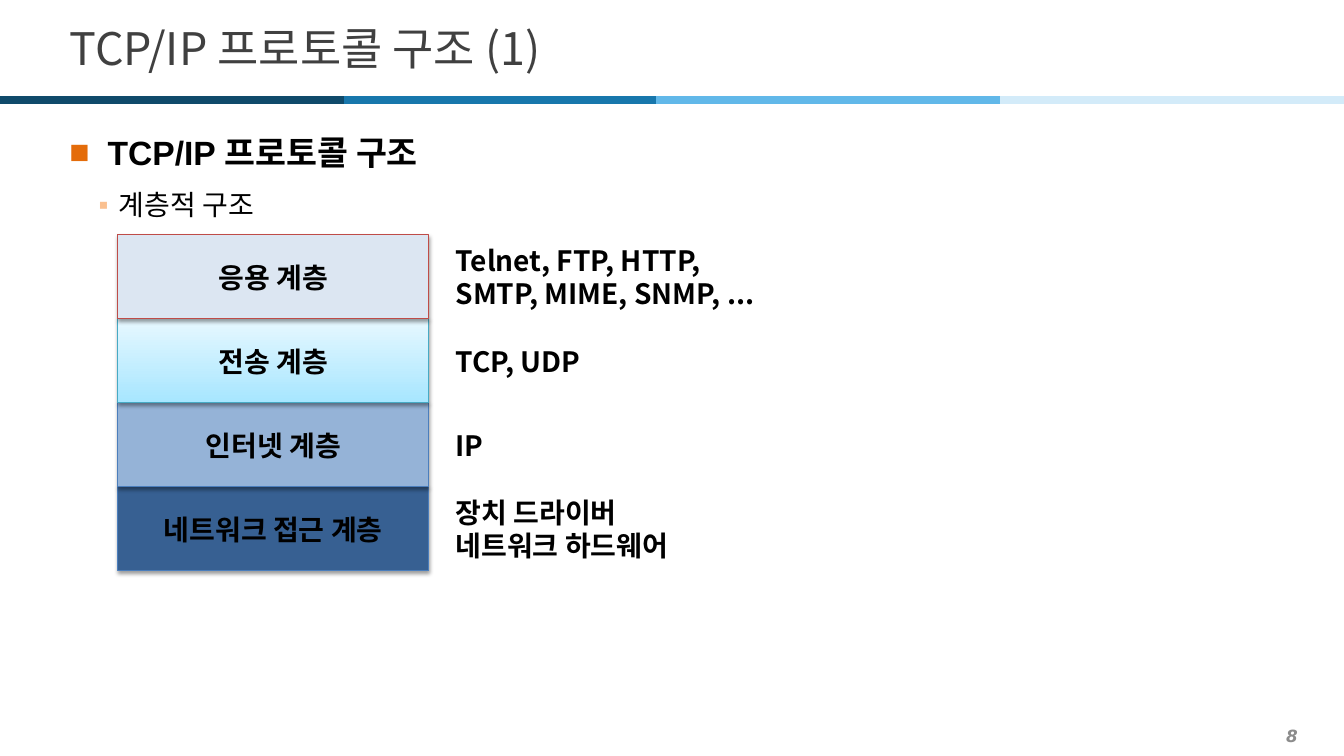
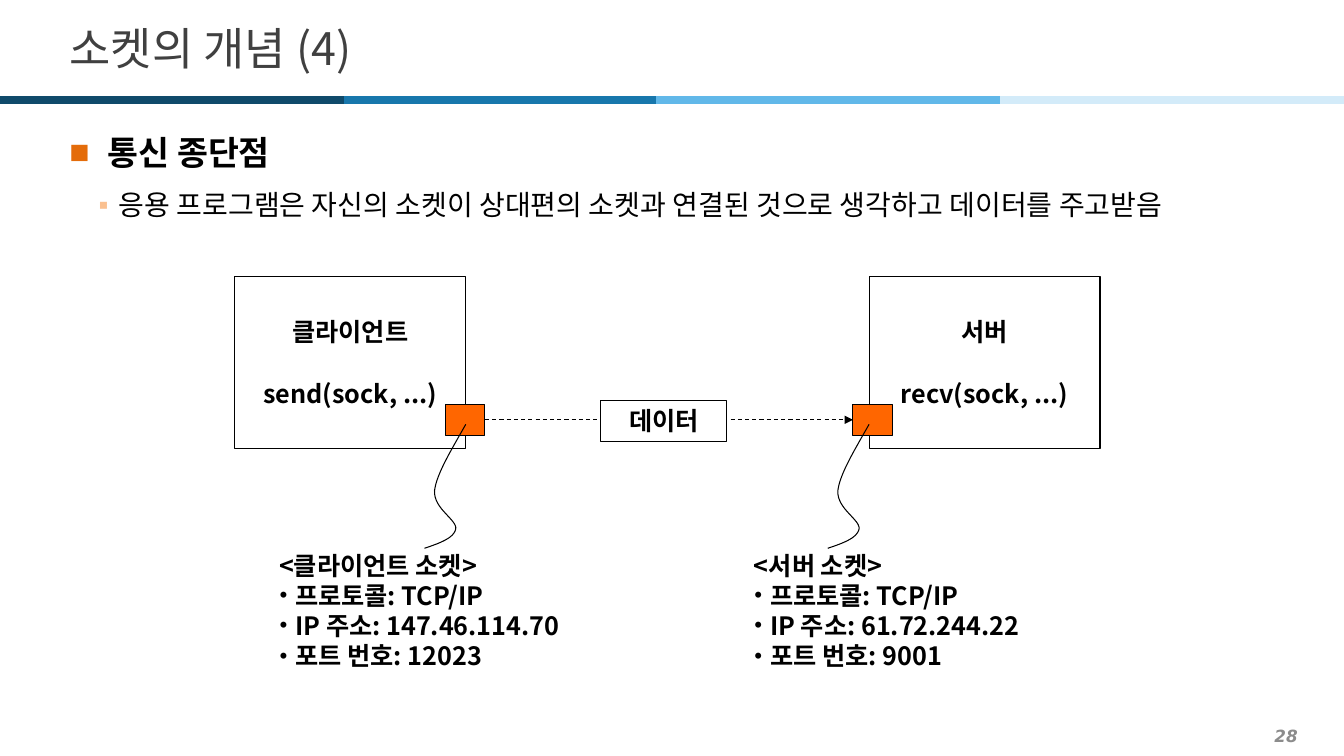
from lxml.etree import SubElement
from pptx import Presentation
from pptx.dml.color import RGBColor
from pptx.enum.dml import MSO_LINE
from pptx.enum.shapes import MSO_CONNECTOR, MSO_SHAPE
from pptx.enum.text import MSO_ANCHOR, MSO_AUTO_SIZE, PP_ALIGN
from pptx.oxml.ns import qn
from pptx.oxml.xmlchemy import OxmlElement
from pptx.util import Inches, Pt

KOREAN, LATIN, NUMBER, BULLET = "Noto Sans CJK KR", "Arial", "DejaVu Sans", "Times New Roman"
BLACK, WHITE = RGBColor(0, 0, 0), RGBColor(255, 255, 255)
TITLE_GRAY = RGBColor(0x40, 0x40, 0x40)
NUMBER_GRAY = RGBColor(0x8C, 0x8C, 0x8C)
ORANGE, PEACH = RGBColor(0xE4, 0x6C, 0x0A), RGBColor(0xFA, 0xC0, 0x90)
SOCKET_ORANGE = RGBColor(0xFF, 0x66, 0x00)
BLUE_EDGE = RGBColor(0x4B, 0x7E, 0xBC)
BAND_EDGES = [0, 3.41, 6.51, 9.92, 13.33]
BAND_COLORS = [RGBColor.from_string(c) for c in ("0F4A6B", "1877AC", "61B8E9", "D3EBF9")]

# Content: (name, examples, fill colours from top to bottom, edge)
LAYERS = [
    ("응용 계층", ["Telnet, FTP, HTTP,", "SMTP, MIME, SNMP, ..."],
     [RGBColor(0xDC, 0xE6, 0xF2)], RGBColor(0xBF, 0x4C, 0x48)),
    ("전송 계층", ["TCP, UDP"],
     [RGBColor(0xE7, 0xF8, 0xFF), RGBColor(0xA7, 0xE6, 0xFF)], RGBColor(0x46, 0xAA, 0xC5)),
    ("인터넷 계층", ["IP"], [RGBColor(0x95, 0xB3, 0xD7)], BLUE_EDGE),
    ("네트워크 접근 계층", ["장치 드라이버", "네트워크 하드웨어"],
     [RGBColor(0x37, 0x60, 0x92)], BLUE_EDGE),
]
# Left edges of the host box, its socket, the curve's origin and the details
ENDPOINTS = [
    {"host": ["클라이언트", "send(sock, ...)"], "lefts": (2.33, 4.42, 4.21, 2.67),
     "details": ["<클라이언트 소켓>", "프로토콜: TCP/IP", "IP 주소: 147.46.114.70", "포트 번호: 12023"]},
    {"host": ["서버", "recv(sock, ...)"], "lefts": (8.62, 8.46, 8.21, 7.38),
     "details": ["<서버 소켓>", "프로토콜: TCP/IP", "IP 주소: 61.72.244.22", "포트 번호: 9001"]},
]
# Curve from socket to details: cubic pieces, relative to its top left
CURVE_TOP = 4.21
CURVE = [
    [(0.41, 0), (0.27, 0.25), (0.12, 0.49), (0.1, 0.66)],
    [(0.1, 0.66), (0.09, 0.84), (0.33, 0.95), (0.31, 1.04)],
    [(0.31, 1.04), (0.29, 1.13), (0.15, 1.18), (0, 1.23)],
]


def box(left, top, width, height):
    return [Inches(v) for v in (left, top, width, height)]


def set_font(paragraph, size, color=BLACK, bold=True, italic=False, latin=KOREAN):
    font = paragraph.font
    font.size, font.bold, font.italic, font.name = Pt(size), bold, italic, latin
    font.color.rgb = color
    latin_font = paragraph._p.pPr.find(qn("a:defRPr")).find(qn("a:latin"))
    east_asian = OxmlElement("a:ea")
    east_asian.set("typeface", KOREAN)
    latin_font.addnext(east_asian)


def set_bullet(paragraph, char, color, margin, hang, typeface):
    """Add a bullet to a paragraph whose font is already set."""
    props = paragraph._p.pPr
    props.set("marL", str(Inches(margin)))
    props.set("indent", str(-Inches(hang)))
    bullet_color, bullet_font, bullet_char = [
        OxmlElement(tag) for tag in ("a:buClr", "a:buFont", "a:buChar")]
    SubElement(bullet_color, qn("a:srgbClr")).set("val", str(color))
    bullet_font.set("typeface", typeface)
    bullet_char.set("char", char)
    for part in (bullet_color, bullet_font, bullet_char):
        props.find(qn("a:defRPr")).addprevious(part)


def write(shape, lines, size, align=PP_ALIGN.LEFT, anchor=MSO_ANCHOR.MIDDLE, **font):
    frame = shape.text_frame
    frame.word_wrap = True
    frame.auto_size = MSO_AUTO_SIZE.NONE
    frame.vertical_anchor = anchor
    frame.text = "\n".join(lines)
    for paragraph in frame.paragraphs:
        paragraph.alignment = align
        set_font(paragraph, size, **font)
    return frame.paragraphs


def add_text(slide, area, lines, size, **style):
    return write(slide.shapes.add_textbox(*box(*area)), lines, size, **style)


def add_rect(slide, area, edge=BLACK, fill=None):
    rect = slide.shapes.add_shape(MSO_SHAPE.RECTANGLE, *box(*area))
    rect.shadow.inherit = False
    rect.line.color.rgb = edge
    rect.line.width = Pt(0.75)
    if fill is None:
        rect.fill.background()
    else:
        rect.fill.solid()
        rect.fill.fore_color.rgb = fill
    return rect


def add_line(slide, start, end, color, width):
    line = slide.shapes.add_connector(
        MSO_CONNECTOR.STRAIGHT, *[Inches(v) for v in (*start, *end)])
    line.line.color.rgb = color
    line.line.width = Pt(width)
    SubElement(line._element.spPr, qn("a:effectLst"))
    return line


def add_slide(prs, title, number, heading, point):
    """Title, coloured band, slide number and the two outline lines."""
    slide = prs.slides.add_slide(prs.slide_layouts[5])
    heading_box = slide.shapes.title
    heading_box.left, heading_box.top, heading_box.width, heading_box.height = box(0.59, 0.13, 12.21, 0.68)
    write(heading_box, [title], 32, color=TITLE_GRAY, bold=False)
    for left, right, color in zip(BAND_EDGES, BAND_EDGES[1:], BAND_COLORS):
        add_line(slide, (left, 0.99), (right, 0.99), color, 6)
    add_text(slide, (0.2, 7.14, 12.77, 0.31), [str(number)], 12, align=PP_ALIGN.RIGHT,
             color=NUMBER_GRAY, italic=True, latin=NUMBER)

    first, second = add_text(slide, (0.59, 1.18, 12.24, 6.03), [heading, point], 24,
                             anchor=MSO_ANCHOR.TOP, latin=LATIN)
    first.line_spacing, first.space_after = 1.2, Pt(2)
    set_bullet(first, "■", ORANGE, 0.38, 0.38, LATIN)
    second.level = 1
    second.line_spacing, second.space_before, second.space_after = 1.3, Pt(2), Pt(2)
    second.font.size, second.font.bold = Pt(20), False
    second.font.name = KOREAN
    set_bullet(second, "▪", PEACH, 0.49, 0.2, LATIN)
    return slide


def add_layer(slide, top, height, name, examples, fills, edge):
    layer = add_rect(slide, (1.17, top, 3.08, height), edge, fills[0])
    if len(fills) > 1:
        layer.fill.gradient()
        layer.fill.gradient_angle = 270
        for stop, color in zip(layer.fill.gradient_stops, fills):
            stop.color.rgb = color
    # Soft shadow below the layer
    shadow = SubElement(layer._element.spPr.find(qn("a:effectLst")), qn("a:outerShdw"),
                        blurRad=str(Pt(3.1)), dist=str(Pt(1.6)), dir="5400000", rotWithShape="0")
    shadow_color = SubElement(shadow, qn("a:srgbClr"), val=str(BLACK))
    SubElement(shadow_color, qn("a:alpha"), val="38000")
    write(layer, [name], 20, align=PP_ALIGN.CENTER)
    add_text(slide, (4.42, top, 3.33, height), examples, 20)


def add_curve(slide, left, steps=16):
    points = [CURVE[0][0]]
    for a, b, c, d in CURVE:
        for step in range(1, steps + 1):
            t = step / steps
            points.append(tuple(
                (1 - t) ** 3 * a[i] + 3 * (1 - t) ** 2 * t * b[i]
                + 3 * (1 - t) * t ** 2 * c[i] + t ** 3 * d[i] for i in (0, 1)))
    points = [(Inches(left + x), Inches(CURVE_TOP + y)) for x, y in points]
    builder = slide.shapes.build_freeform(*points[0])
    builder.add_line_segments(points[1:], close=False)
    curve = builder.convert_to_shape()
    curve.shadow.inherit = False
    curve.fill.background()
    curve.line.color.rgb = BLACK
    curve.line.width = Pt(0.75)


def add_endpoint(slide, host, lefts, details):
    host_left, socket_left, curve_left, details_left = lefts
    host_box = add_rect(slide, (host_left, 2.74, 2.29, 1.71))
    call = write(host_box, host, 18, align=PP_ALIGN.CENTER)[1]
    call.space_before = Pt(22)
    socket = add_rect(slide, (socket_left, 4.01, 0.39, 0.31), fill=SOCKET_ORANGE)
    add_curve(slide, curve_left)
    lines = add_text(slide, (details_left, 5.36, 3.54, 1.39), details, 18)
    for line in lines[1:]:
        set_bullet(line, "•", BLACK, 0.16, 0.16, BULLET)
    return socket


def build_layers(prs):
    slide = add_slide(prs, "TCP/IP 프로토콜 구조 (1)", 8, "TCP/IP 프로토콜 구조", "계층적 구조")
    height = 2.5 / 3
    # Bottom layer first, so each shadow falls on the layer below
    for index, layer in reversed(list(enumerate(LAYERS))):
        add_layer(slide, 2.33 + index * height, height, *layer)


def build_sockets(prs):
    slide = add_slide(prs, "소켓의 개념 (4)", 28, "통신 종단점",
                      "응용 프로그램은 자신의 소켓이 상대편의 소켓과 연결된 것으로 생각하고 데이터를 주고받음")
    client_socket, server_socket = [add_endpoint(slide, **end) for end in ENDPOINTS]
    # Data flow between the sockets
    flow = add_line(slide, (4.81, 4.16), (8.46, 4.16), BLACK, 0.75)
    flow.begin_connect(client_socket, 3)
    flow.end_connect(server_socket, 1)
    flow.line.dash_style = MSO_LINE.DASH
    SubElement(flow._element.spPr.find(qn("a:ln")), qn("a:tailEnd"), type="triangle")
    data = add_rect(slide, (5.96, 3.97, 1.25, 0.41), fill=WHITE)
    write(data, ["데이터"], 18, align=PP_ALIGN.CENTER)


def main():
    prs = Presentation()
    prs.slide_width, prs.slide_height = Inches(13.33), Inches(7.5)
    build_layers(prs)
    build_sockets(prs)
    prs.save("out.pptx")


if __name__ == "__main__":
    main()
